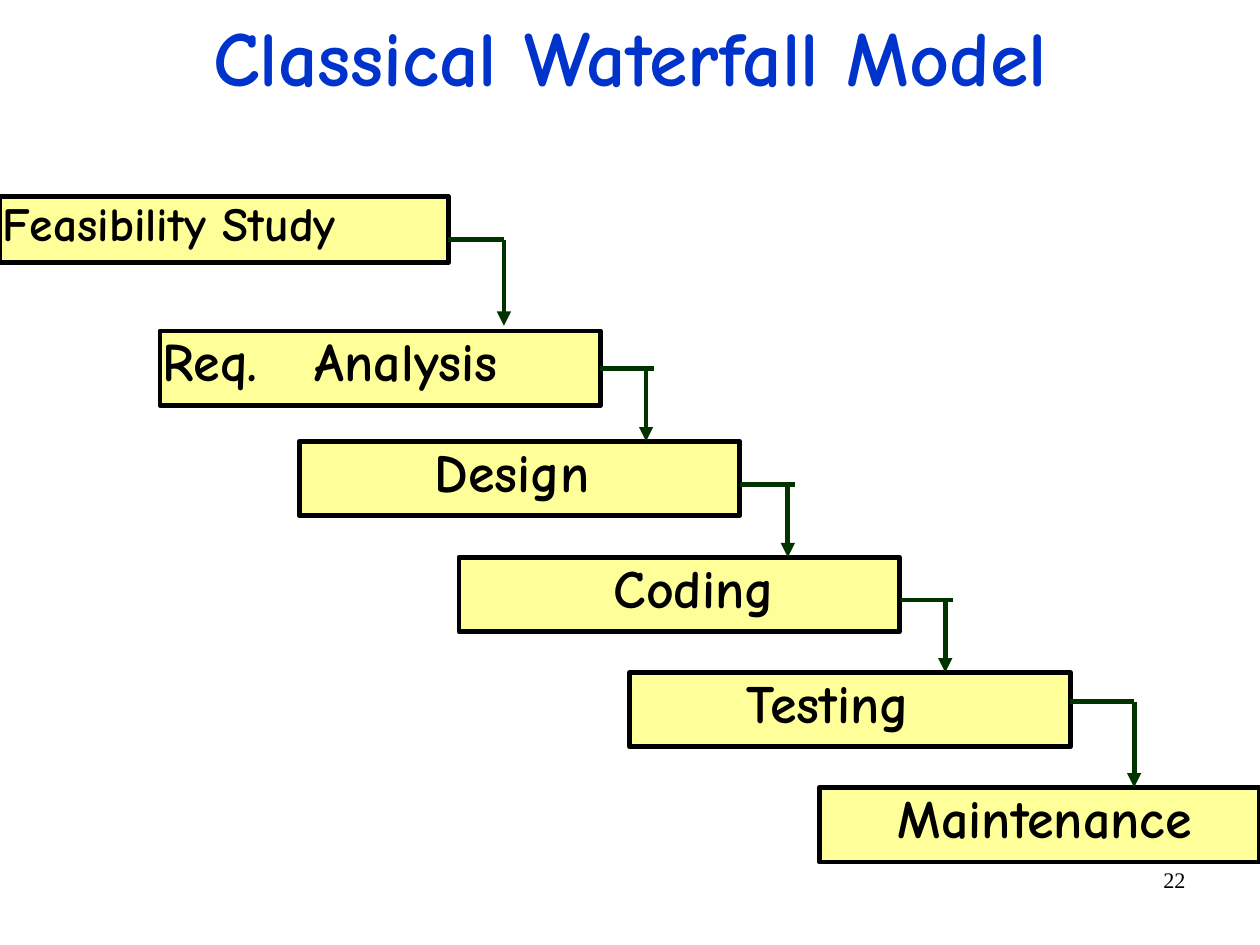
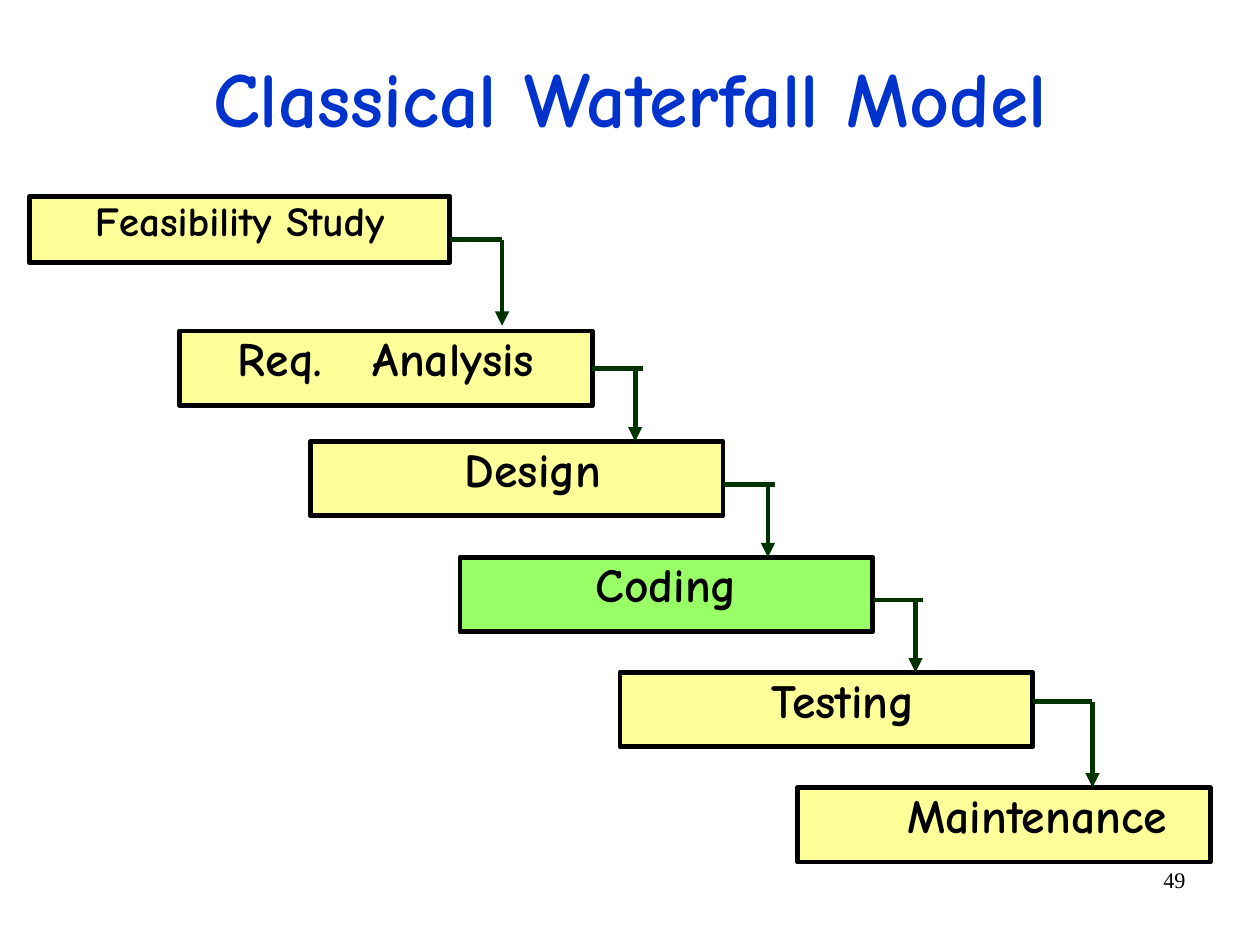
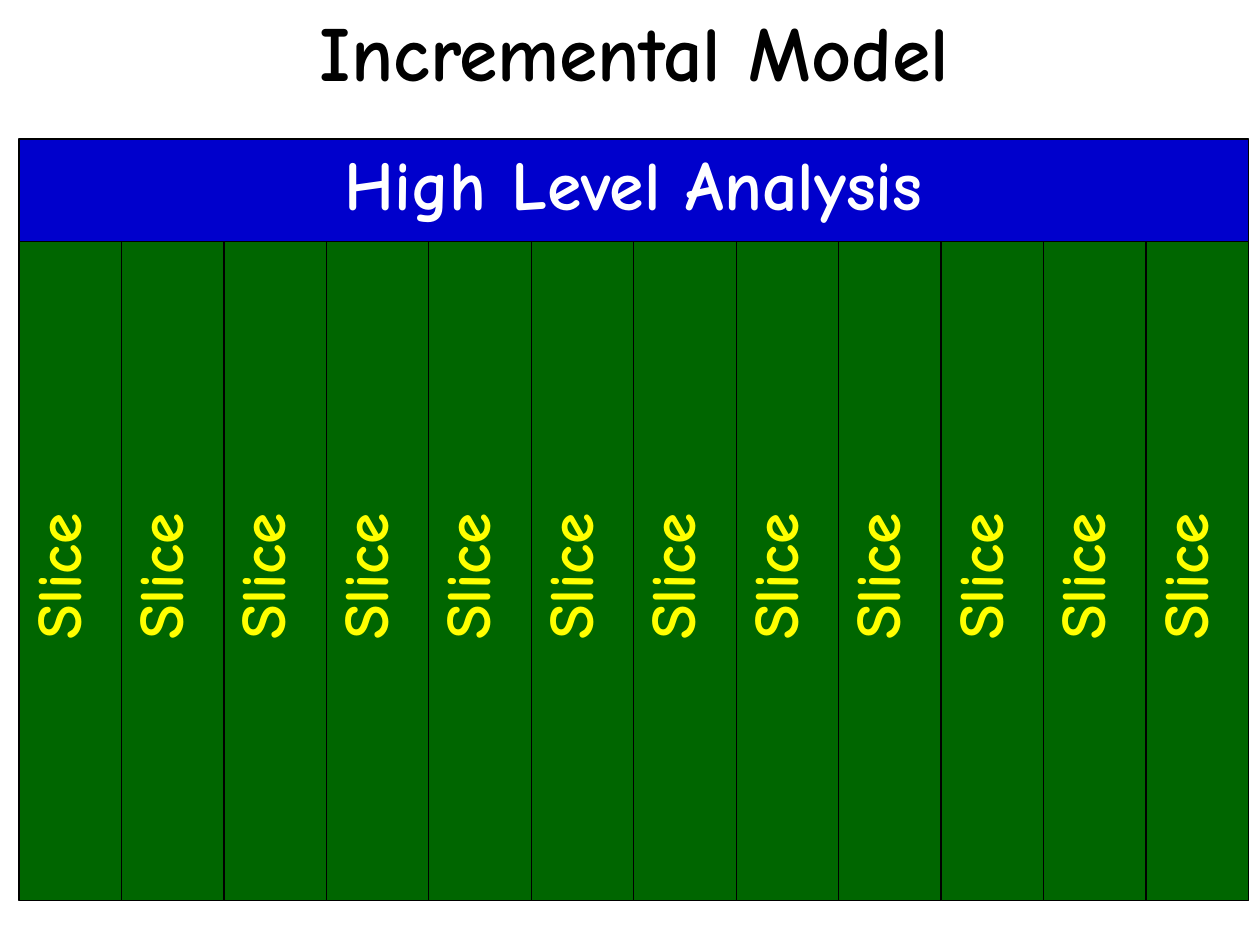
import pptx
import pptx.util
import pptx.dml.color
import pptx.enum.shapes
import pptx.enum.text
import pptx.oxml
import pptx.oxml.ns

Pt = pptx.util.Pt
ALIGN = pptx.enum.text.PP_ALIGN
ANCHOR = pptx.enum.text.MSO_ANCHOR
RECT = pptx.enum.shapes.MSO_SHAPE.RECTANGLE
STRAIGHT = pptx.enum.shapes.MSO_CONNECTOR.STRAIGHT

COLORS = {
    "title": "0033CC", "black": "000000", "white": "FFFFFF",
    "step": "FFFF99", "current": "99FF66", "arrow": "003300",
    "band": "0000CC", "slice": "006600", "slice_text": "FFFF00",
}
FONT = "Comic Neue"
SLIDE_W, SLIDE_H = 793.75, 595.25
NARROW = (1.44, 4.32)  # horizontal and vertical text margins
NORMAL = (7.2, 3.6)
WIDE_SPACE = 0.71      # extra width of the gap in "Req. Analysis", in ems

# Label, left, top, width, height; lefts and widths on a slide-wide scale
STEPS = [
    ("Feasibility Study", 0, 123.6, 282.4, 42),
    ("Req. Analysis", 100.8, 208.5, 277.5, 47),
    ("Design", 188.6, 278, 277.5, 47),
    ("Coding", 289.2, 351, 277.5, 47),
    ("Testing", 396.8, 423.5, 277.5, 47),
    ("Maintenance", 516.2, 496, 277.5, 47),
]
# Height of the level part, its end, and the x and end of the drop
LINKS = [
    (151, 317.5, 317.5, 205.2),
    (232, 412, 407, 278),
    (305.3, 501, 496.3, 351),
    (378, 600.5, 595.5, 423.5),
    (442, 714.5, 714.5, 496),
]


def rgb(name):
    return pptx.dml.color.RGBColor.from_string(COLORS[name])


def set_all(obj, values):
    for name, value in values.items():
        setattr(obj, name, value)


def write(tf, text, size, color="black", align=ALIGN.LEFT, spacing=None,
          margins=NORMAL, anchor=ANCHOR.TOP, font=FONT, bold=True, indent=0):
    across, down = map(Pt, margins)
    set_all(tf, {"word_wrap": True, "vertical_anchor": anchor,
                 "auto_size": pptx.enum.text.MSO_AUTO_SIZE.NONE,
                 "margin_left": across, "margin_right": across,
                 "margin_top": down, "margin_bottom": down})
    p = tf.paragraphs[0]
    set_all(p, {"alignment": align, "line_spacing": spacing})
    if indent:
        p._p.get_or_add_pPr().set("marL", str(Pt(indent)))
    runs = []
    for part in [text] if isinstance(text, str) else text:
        r = p.add_run()
        r.text = part
        set_all(r.font, {"size": Pt(size), "bold": bold, "name": font})
        r.font.color.rgb = rgb(color)
        runs.append(r)
    return runs


def add_title(s, text, left, top, height, color, spacing, margins):
    title = s.shapes.title
    set_all(title, {"left": Pt(left), "top": Pt(top),
                    "width": Pt(677), "height": Pt(height)})
    write(title.text_frame, text, 49, color, ALIGN.CENTER, spacing,
          margins, ANCHOR.MIDDLE)


def add_page_number(s, number):
    sp = s.shapes.add_textbox(Pt(569), Pt(542), Pt(185), Pt(41))
    write(sp.text_frame, number, 14, align=ALIGN.RIGHT,
          font="Times New Roman", bold=False)


def add_rect(s, left, top, width, height, fill, line_width):
    sp = s.shapes.add_shape(RECT, Pt(left), Pt(top), Pt(width), Pt(height))
    sp.shadow.inherit = False
    sp.fill.solid()
    sp.fill.fore_color.rgb = rgb(fill)
    sp.line.color.rgb = rgb("black")
    sp.line.width = Pt(line_width)
    return sp


def add_line(s, x1, y1, x2, y2, arrow=False):
    line = s.shapes.add_connector(STRAIGHT, Pt(x1), Pt(y1), Pt(x2), Pt(y2))
    line.line.color.rgb = rgb("arrow")
    line.line.width = Pt(3)
    if arrow:
        tail = pptx.oxml.parse_xml(
            "<a:tailEnd %s type='triangle'/>" % pptx.oxml.ns.nsdecls("a"))
        line.line._get_or_add_ln().append(tail)
    line._element.spPr.append(pptx.oxml.parse_xml(
        "<a:effectLst %s/>" % pptx.oxml.ns.nsdecls("a")))
    return line


def add_waterfall(s, left, width, size, align, indents, current=None):
    """Staircase of steps, stretched sideways to the given left and width."""
    scale = width / SLIDE_W

    def at(x):
        return left + x * scale

    # Steps
    boxes = []
    for i, (label, x, y, w, h) in enumerate(STEPS):
        fill = "current" if label == current else "step"
        sp = add_rect(s, at(x), y, w * scale, h, fill, 3)
        text_size = size if i else size - 4
        text = ["Req.", " ", "Analysis"] if label == "Req. Analysis" else label
        runs = write(sp.text_frame, text, text_size, align=align, spacing=0.85,
                     margins=NARROW, indent=indents.get(label, 0))
        if len(runs) > 1:
            gap = round(text_size * WIDE_SPACE * 100)
            runs[1].font._element.set("spc", str(gap))
        boxes.append(sp)

    # Bent arrows from each step to the next
    for sp, step, (y, end, drop, bottom) in zip(boxes, STEPS, LINKS):
        _, x, top, w, h = step
        line = add_line(s, at(x + w), y, at(end), y)
        if y == top + h / 2:
            line.begin_connect(sp, 3)
        add_line(s, at(drop), y, at(drop), bottom, arrow=True)


def add_slices(s, left, top, width, height, count):
    """Heading band over equal upright slices."""
    band_h = 64.5
    band = add_rect(s, left, top, width, band_h, "band", 0.75)
    write(band.text_frame, "High Level Analysis", 44, "white", ALIGN.CENTER,
          0.8, anchor=ANCHOR.MIDDLE)

    slice_w = width / count
    label_w, label_h = 143.3, 46
    center_y = top + 250.6
    for i in range(count):
        x = left + i * slice_w
        add_rect(s, x, top + band_h, slice_w, height - band_h, "slice", 0.75)
        center_x = x + 27.8
        label = s.shapes.add_textbox(
            Pt(center_x - label_w / 2), Pt(center_y - label_h / 2),
            Pt(label_w), Pt(label_h))
        label.rotation = 270
        write(label.text_frame, "Slice", 40, "slice_text", spacing=0.8)


def waterfall_slide(prs, title_top, number, **waterfall):
    s = prs.slides.add_slide(prs.slide_layouts[5])
    add_page_number(s, number)
    add_title(s, "Classical Waterfall Model", 58.2, title_top, 116.6, "title",
              0.94, NARROW)
    add_waterfall(s, **waterfall)


def incremental_slide(prs):
    s = prs.slides.add_slide(prs.slide_layouts[5])
    add_title(s, "Incremental Model", 61, -14.4, 98.6, "black", 0.92, (0, 0))
    add_slices(s, 12, 87.5, 774.5, 479.7, 12)


def main():
    prs = pptx.Presentation()
    set_all(prs, {"slide_width": Pt(SLIDE_W), "slide_height": Pt(SLIDE_H)})
    waterfall_slide(
        prs, -20.4, "22", left=0, width=SLIDE_W, size=34, align=ALIGN.LEFT,
        indents={"Design": 84, "Coding": 96, "Testing": 72, "Maintenance": 48})
    waterfall_slide(
        prs, 5.5, "49", left=18.8, width=743.7, size=30, align=ALIGN.CENTER,
        indents={"Design": 21, "Testing": 21, "Maintenance": 42},
        current="Coding")
    incremental_slide(prs)
    prs.save("out.pptx")


if __name__ == "__main__":
    main()
